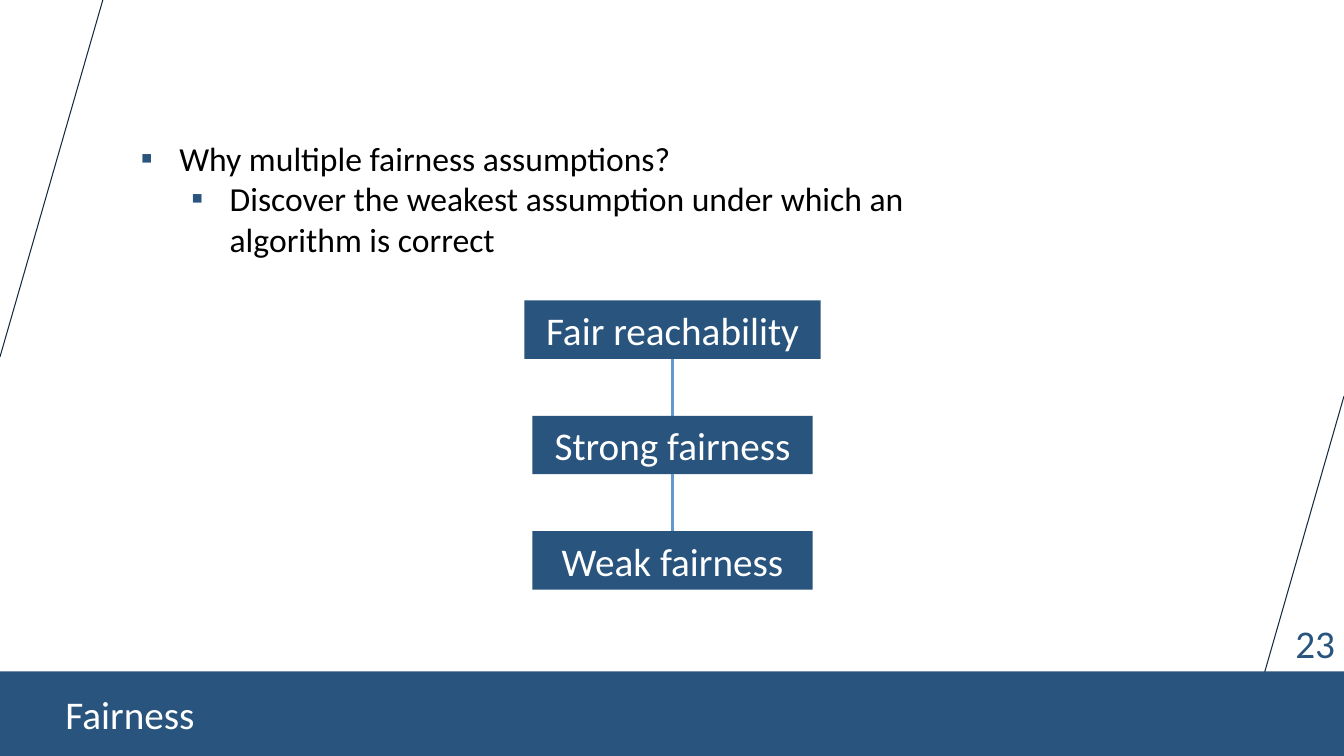
from lxml.etree import SubElement
from pptx import Presentation
from pptx.dml.color import RGBColor
from pptx.enum.shapes import MSO_CONNECTOR, MSO_SHAPE
from pptx.enum.text import MSO_ANCHOR, PP_ALIGN
from pptx.oxml.ns import qn
from pptx.util import Inches, Pt

TITLE = "Fairness"
PAGE = "23"
POINTS = [
    (0, "Why multiple fairness assumptions?"),
    (1, "Discover the weakest assumption under which an algorithm is correct"),
]
LEVELS = [("Fair reachability", 2.94), ("Strong fairness", 2.78), ("Weak fairness", 2.78)]
COLORS = {"navy": "28547D", "dark": "142A3E", "sky": "6299CD", "white": "FFFFFF", "black": "000000"}
FONT = "Calibri"
WIDE, HIGH = 13.33, 7.5
FOOT = 6.66
TOP, STEP, TALL = 2.98, 1.145, 0.58
MID = WIDE / 2 + 0.005

deck = Presentation()
deck.slide_width, deck.slide_height = Inches(WIDE), Inches(HIGH)
slide = deck.slides.add_slide(deck.slide_layouts[6])
shapes = slide.shapes


def color(name):
    return RGBColor.from_string(COLORS[name])


def style(para, size, name):
    for run in para.runs:
        run.font.name, run.font.size = FONT, Pt(size)
        run.font.color.rgb = color(name)


def rule(x1, y1, x2, y2, name, width):
    line = shapes.add_connector(MSO_CONNECTOR.STRAIGHT, *map(Inches, (x1, y1, x2, y2)))
    line.line.color.rgb, line.line.width = color(name), Pt(width)
    SubElement(line._element.spPr, qn("a:effectLst"))


def box(text, x, y, w, h, fill="navy", ink="white", align=PP_ALIGN.CENTER):
    shape = shapes.add_shape(MSO_SHAPE.RECTANGLE, *map(Inches, (x, y, w, h)))
    shape.shadow.inherit = False
    if fill:
        shape.fill.solid()
        shape.fill.fore_color.rgb = color(fill)
        shape.line.fill.background()
    else:
        shape.fill.background()
        shape.line.color.rgb, shape.line.width = color("white"), Pt(1)
    frame = shape.text_frame
    frame.text, frame.word_wrap = text, True
    frame.vertical_anchor = MSO_ANCHOR.MIDDLE
    frame.paragraphs[0].alignment = align
    style(frame.paragraphs[0], 28, ink)
    return frame


def bullet(para, level):
    props = para._p.get_or_add_pPr()
    props.set("marL", str(Inches(0.88 + level * 0.5)))
    props.set("indent", str(Inches(-0.38)))
    tint = SubElement(props, qn("a:buClr"))
    SubElement(tint, qn("a:srgbClr"), val=COLORS["navy"])
    SubElement(props, qn("a:buFont"), typeface=FONT)
    SubElement(props, qn("a:buChar"), char="▪")


rule(1.02, 0, 0, 3.54, "dark", 0.75)
rule(WIDE, 3.93, WIDE - 1.02, 7.48, "dark", 0.75)
page = box(PAGE, 12.74, 6.09, 0.6, 0.57, None, "navy", PP_ALIGN.RIGHT)
page.word_wrap, page.vertical_anchor = False, MSO_ANCHOR.TOP

body = shapes.add_textbox(*map(Inches, (0.8, 1.32, 8.63, 2.52))).text_frame
body.word_wrap = True
for i, (level, text) in enumerate(POINTS):
    para = body.paragraphs[0] if i == 0 else body.add_paragraph()
    para.text, para.level = text, level
    bullet(para, level)
    style(para, 24, "black")

foot = box(TITLE, 0, FOOT, WIDE, HIGH - FOOT, align=PP_ALIGN.LEFT)
foot.margin_left = Inches(0.65)
foot.margin_top = foot.margin_bottom = 0

for i, (text, width) in enumerate(LEVELS):
    y = TOP + i * STEP
    if i:
        rule(MID, y, MID, y - STEP + TALL, "sky", 1.5)
    box(text, MID - width / 2, y, width, TALL)

deck.save("out.pptx")
